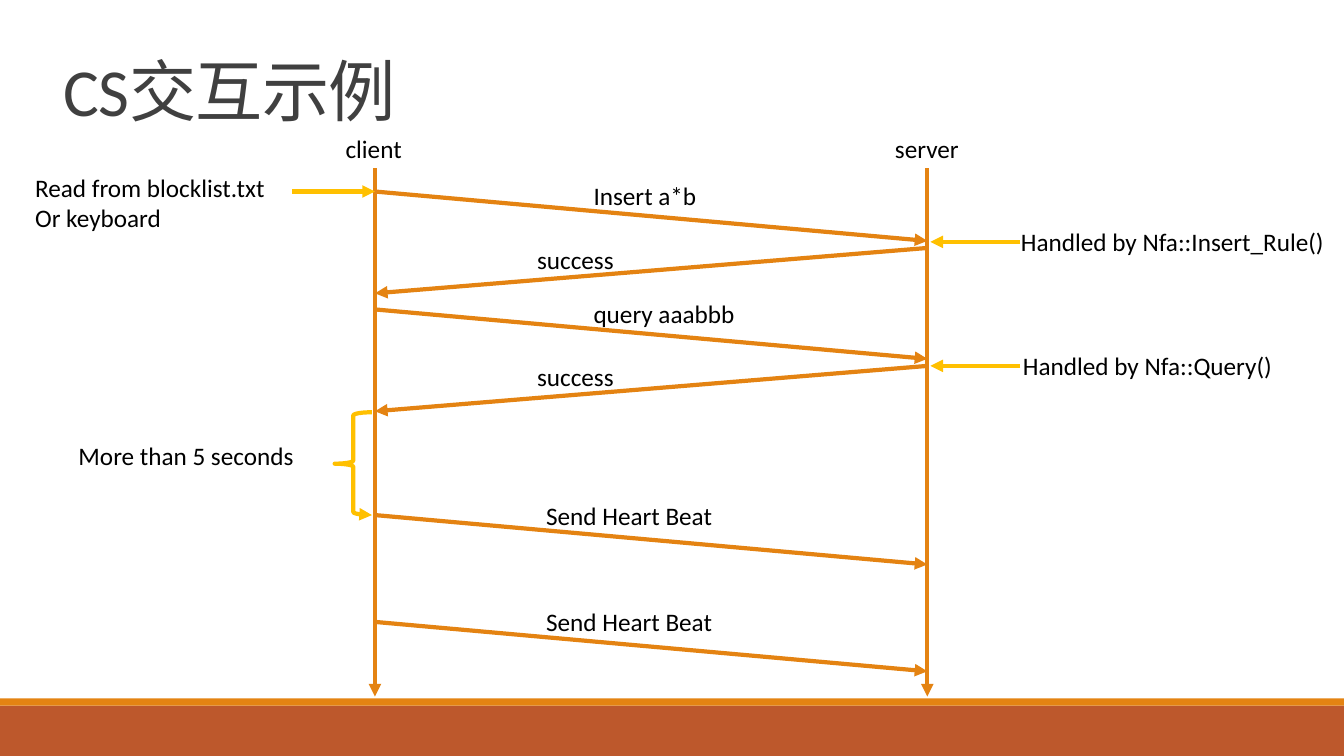
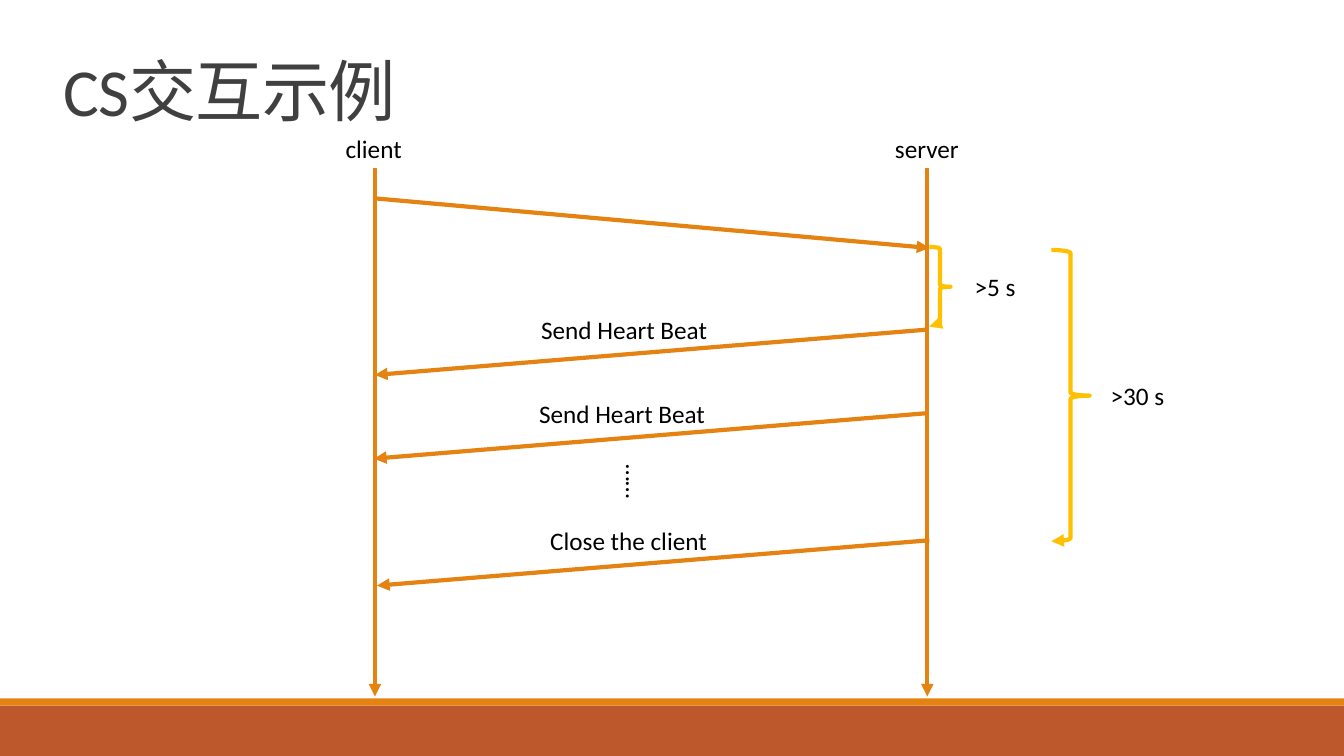
"""Build two sequence-diagram slides showing client and server exchanges."""
from dataclasses import dataclass

from lxml.etree import SubElement
from pptx import Presentation
from pptx.dml.color import RGBColor
from pptx.enum.shapes import MSO_CONNECTOR as Connector, MSO_SHAPE as Shape
from pptx.enum.text import MSO_ANCHOR as Anchor, MSO_AUTO_SIZE as AutoSize
from pptx.oxml.ns import qn
from pptx.util import Inches, Pt


@dataclass(frozen=True)
class Theme:
    font: str = "Calibri"
    title_size: int = 48
    body_size: int = 18
    line_width: int = 3
    title: str = "404040"
    text: str = "000000"
    band: str = "BD582C"
    flow: str = "E48312"
    note: str = "FFC000"


THEME = Theme()
WIDTH, HEIGHT = 13.333, 7.5
CLIENT, SERVER = 0.279 * WIDTH, 0.69 * WIDTH
LANE_TOP, LANE_BOTTOM = 1.67, 6.91
LABEL_HEIGHT = 0.4
REQUEST_DROP, REPLY_DROP = 0.49, 0.45
TITLE = "CS交互示例"
TITLE_BOX = (0.53, -0.25, 11, 1.59)
BANDS = [(7.0, 0.5, THEME.band), (6.93, 0.07, THEME.flow)]
LANES = [(CLIENT, "client", 3.33, 0.78), (SERVER, "server", 8.78, 0.85)]

# messages: direction, start row, sideways shift, label, label left, label width, label rise
# pointers: start, end, row; braces: left, top, width, height, mirrored
# notes: lines, left, top, width, height, text direction
SLIDES = [
    {
        "messages": [
            ("request", 1.9, 0, "Insert a*b", 5.79, 1.25, 0.16),
            ("reply", 2.46, 0, "success", 5.23, 1.01, 0.09),
            ("request", 3.07, 0, "query aaabbb", 5.79, 1.7, 0.16),
            ("reply", 3.63, 0, "success", 5.23, 1.01, 0.09),
            ("request", 5.11, 0, "Send Heart Beat", 5.32, 1.96, 0.2),
            ("request", 6.17, 0, "Send Heart Beat", 5.32, 1.96, 0.2),
        ],
        "pointers": [(2.9, CLIENT, 1.9), (10.12, 9.23, 2.4), (10.12, 9.23, 3.63)],
        "braces": [(3.32, 4.09, 0.37, 1.02, False)],
        "notes": [
            (["Read from blocklist.txt", "Or keyboard"], 0.25, 1.66, 2.61, 0.71, "horz"),
            (["Handled by Nfa::Insert_Rule()"], 10.03, 2.2, 3.34, LABEL_HEIGHT, "horz"),
            (["More than 5 seconds"], 0.68, 4.32, 2.48, LABEL_HEIGHT, "horz"),
            (["Handled by Nfa::Query()"], 10.05, 3.43, 2.82, LABEL_HEIGHT, "horz"),
        ],
    },
    {
        "messages": [
            ("request", 1.97, 0.02, "", 0, 0, 0),
            ("reply", 3.27, 0, "Send Heart Beat", 5.27, 1.96, 0.2),
            ("reply", 4.1, -0.01, "Send Heart Beat", 5.25, 1.96, 0.2),
            ("reply", 5.36, 0.02, "Close the client", 5.36, 1.85, 0.2),
        ],
        "pointers": [],
        "braces": [(9.22, 2.45, 0.21, 0.79, True), (10.43, 2.48, 0.38, 2.89, True)],
        "notes": [
            ([">5 s"], 9.57, 2.64, 0.68, LABEL_HEIGHT, "horz"),
            (["……"], 6.01, 4.51, 0.5, 0.46, "eaVert"),
            ([">30 s"], 10.92, 3.72, 0.81, LABEL_HEIGHT, "horz"),
        ],
    },
]


def style_arrow(line, color):
    line.color.rgb = RGBColor.from_string(color)
    line.width = Pt(THEME.line_width)
    SubElement(line._get_or_add_ln(), qn("a:tailEnd"), type="triangle")


def add_arrow(slide, start, end, color):
    points = [Inches(value) for value in (*start, *end)]
    connector = slide.shapes.add_connector(Connector.STRAIGHT, *points)
    style_arrow(connector.line, color)
    SubElement(connector._element.spPr, qn("a:effectLst"))


def add_brace(slide, left, top, width, height, mirrored):
    box = [Inches(value) for value in (left, top, width, height)]
    brace = slide.shapes.add_shape(Shape.LEFT_BRACE, *box)
    brace.fill.background()
    style_arrow(brace.line, THEME.note)
    brace.shadow.inherit = False
    transform = brace._element.spPr.xfrm
    transform.set("flipV", "1")
    if mirrored:
        transform.set("flipH", "1")


def add_text(slide, lines, box, size=THEME.body_size, color=THEME.text):
    shape = slide.shapes.add_textbox(*[Inches(value) for value in box])
    frame = shape.text_frame
    frame.word_wrap = False
    frame.auto_size = AutoSize.SHAPE_TO_FIT_TEXT
    for index, line in enumerate(lines):
        paragraph = frame.add_paragraph() if index else frame.paragraphs[0]
        run = paragraph.add_run()
        run.text = line
        run.font.name = THEME.font
        run.font.size = Pt(size)
        run.font.color.rgb = RGBColor.from_string(color)
    return frame


def add_title(slide):
    frame = add_text(slide, [TITLE], TITLE_BOX, THEME.title_size, THEME.title)
    frame.word_wrap = True
    frame.auto_size = AutoSize.NONE
    frame.vertical_anchor = Anchor.BOTTOM
    paragraph = frame.paragraphs[0]
    paragraph.line_spacing = 0.85
    paragraph.runs[0].font._element.set("spc", "-50")


def add_frame(slide):
    for top, height, color in BANDS:
        box = [Inches(value) for value in (0, top, WIDTH, height)]
        band = slide.shapes.add_shape(Shape.RECTANGLE, *box)
        band.fill.solid()
        band.fill.fore_color.rgb = RGBColor.from_string(color)
        band.line.fill.background()
        band.shadow.inherit = False
    add_title(slide)
    for x, name, left, width in LANES:
        add_arrow(slide, (x, LANE_TOP), (x, LANE_BOTTOM), THEME.flow)
        add_text(slide, [name], (left, LANE_TOP - LABEL_HEIGHT, width, LABEL_HEIGHT))


def add_message(slide, direction, row, shift, label, left, width, rise):
    if direction == "request":
        start, end, drop = CLIENT, SERVER, REQUEST_DROP
    else:
        start, end, drop = SERVER, CLIENT, REPLY_DROP
    add_arrow(slide, (start + shift, row), (end + shift, row + drop), THEME.flow)
    if label:
        add_text(slide, [label], (left, row - rise, width, LABEL_HEIGHT))


def build():
    presentation = Presentation()
    presentation.slide_width = Inches(WIDTH)
    presentation.slide_height = Inches(HEIGHT)
    for content in SLIDES:
        slide = presentation.slides.add_slide(presentation.slide_layouts[6])
        add_frame(slide)
        for message in content["messages"]:
            add_message(slide, *message)
        for start, end, row in content["pointers"]:
            add_arrow(slide, (start, row), (end, row), THEME.note)
        for brace in content["braces"]:
            add_brace(slide, *brace)
        for lines, *box, direction in content["notes"]:
            frame = add_text(slide, lines, box)
            frame._txBody.bodyPr.set("vert", direction)
    presentation.save("out.pptx")


build()
